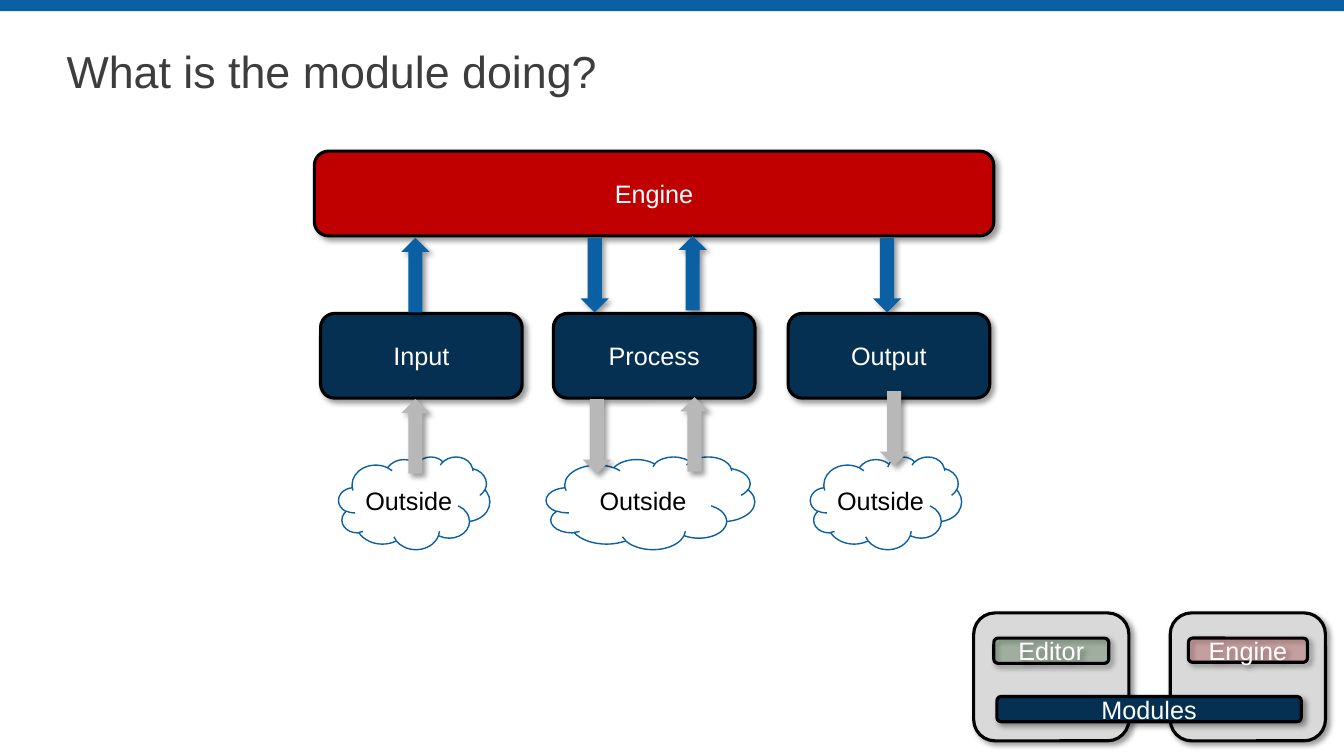
from dataclasses import dataclass

from lxml import etree
from pptx import Presentation
from pptx.dml.color import RGBColor
from pptx.enum.shapes import MSO_SHAPE
from pptx.enum.text import MSO_ANCHOR, MSO_AUTO_SIZE, PP_ALIGN
from pptx.oxml.ns import qn
from pptx.util import Pt

RECTANGLE = MSO_SHAPE.RECTANGLE
ROUNDED = MSO_SHAPE.ROUNDED_RECTANGLE
UP_ARROW = MSO_SHAPE.UP_ARROW
CLOUD = MSO_SHAPE.CLOUD
MIDDLE = MSO_ANCHOR.MIDDLE
NO_AUTOFIT = MSO_AUTO_SIZE.NONE
LEFT, CENTER = PP_ALIGN.LEFT, PP_ALIGN.CENTER
TITLE_ONLY = 5


@dataclass(frozen=True)
class Theme:
    font: str = "Arial"
    title_size: int = 32
    label_size: int = 18
    title: str = "3D3D3D"
    blue: str = "0A60A3"
    navy: str = "053052"
    red: str = "C00000"
    green: str = "004C00"
    gray: str = "B8B8B8"
    panel: str = "D9D9D9"
    black: str = "000000"
    white: str = "FFFFFF"


THEME = Theme()


def color(code):
    return RGBColor.from_string(code)


def write(frame, text, size, text_color, align):
    frame.vertical_anchor = MIDDLE
    frame.word_wrap = True
    frame.text = text
    paragraph = frame.paragraphs[0]
    paragraph.alignment = align
    paragraph.font.name = THEME.font
    paragraph.font.size = Pt(size)
    paragraph.font.color.rgb = color(text_color)
    return paragraph


def clear_side_margins(frame):
    frame.margin_left = frame.margin_right = 0


def add_shadow(shape):
    """Give the shape a soft black shadow towards the lower right."""
    shape.shadow.inherit = False
    effects = shape._element.spPr.find(qn("a:effectLst"))
    shadow = etree.SubElement(
        effects, qn("a:outerShdw"), blurRad=str(Pt(4)), dist=str(Pt(3)),
        dir="2700000", algn="tl", rotWithShape="0")
    shade = etree.SubElement(shadow, qn("a:srgbClr"), val=THEME.black)
    etree.SubElement(shade, qn("a:alpha"), val="40000")


def add_filled(page, kind, left, top, width, height, fill):
    shape = page.shapes.add_shape(
        kind, Pt(left), Pt(top), Pt(width), Pt(height))
    shape.shadow.inherit = False
    shape.fill.solid()
    shape.fill.fore_color.rgb = color(fill)
    shape.line.fill.background()
    return shape


def add_box(page, left, top, width, height, fill, label="", opacity=100):
    box = add_filled(page, ROUNDED, left, top, width, height, fill)
    box.line.color.rgb = color(THEME.black)
    box.line.width = Pt(2.25)
    add_shadow(box)
    if opacity < 100:
        shade = box._element.spPr.find(qn("a:solidFill")).find(qn("a:srgbClr"))
        etree.SubElement(shade, qn("a:alpha"), val=str(opacity * 1000))
    if label:
        write(box.text_frame, label, THEME.label_size, THEME.white, CENTER)


def add_arrow(page, left, top, fill, down):
    arrow = add_filled(page, UP_ARROW, left, top, 20.2, 53.3, fill)
    arrow.rotation = 180 if down else 0
    add_shadow(arrow)


def add_cloud(page, left, width, label):
    cloud = add_filled(page, CLOUD, left, 326.2, width, 66.2, THEME.white)
    cloud.fill.background()
    cloud.line.color.rgb = color(THEME.blue)
    cloud.line.width = Pt(1)
    clear_side_margins(cloud.text_frame)
    write(cloud.text_frame, label, THEME.label_size, THEME.black, CENTER)


def set_title(page, text):
    title = page.shapes.title
    title.left, title.top = Pt(47.5), Pt(28.8)
    title.width, title.height = Pt(864), Pt(48.2)
    frame = title.text_frame
    frame.auto_size = NO_AUTOFIT
    clear_side_margins(frame)
    paragraph = write(frame, text, THEME.title_size, THEME.title, LEFT)
    paragraph.line_spacing = 0.9


def add_flow(page):
    """Draw the engine, the module stages, the outside world and the arrows."""
    for left, label in ((229, "Input"), (395.3, "Process"), (563, "Output")):
        add_box(page, left, 223.9, 144, 60.5, THEME.navy, label)
    add_box(page, 224.6, 108, 485.3, 60.5, THEME.red, "Engine")

    for left, top, down in ((286.6, 169.9, False), (414.7, 169.9, True),
                            (484.6, 168.5, False), (623.5, 169.9, True)):
        add_arrow(page, left, top, THEME.blue, down)
    for left, width in ((241.9, 108), (390.2, 149), (578.9, 108)):
        add_cloud(page, left, width, "Outside")
    for left, top, down in ((286.6, 285.1, False), (416.2, 285.1, True),
                            (486, 283.7, False), (628.6, 279.4, True)):
        add_arrow(page, left, top, THEME.gray, down)


def add_overview(page):
    """Draw the small map that highlights the modules layer."""
    for left in (695.5, 835.9):
        add_box(page, left, 437.8, 110.9, 91.4, THEME.panel)
    add_box(page, 848.9, 455.8, 85, 17.3, THEME.red, "Engine", opacity=20)
    add_box(page, 709.9, 455.8, 82.1, 18, THEME.green, "Editor", opacity=20)
    add_box(page, 712.1, 497.5, 217.4, 18, THEME.navy, "Modules")


def main():
    deck = Presentation()
    deck.slide_width, deck.slide_height = Pt(960), Pt(540)
    page = deck.slides.add_slide(deck.slide_layouts[TITLE_ONLY])
    add_filled(page, RECTANGLE, 0, 0, 960, 7.9, THEME.blue)
    set_title(page, "What is the module doing?")
    add_flow(page)
    add_overview(page)
    deck.save("out.pptx")


if __name__ == "__main__":
    main()
